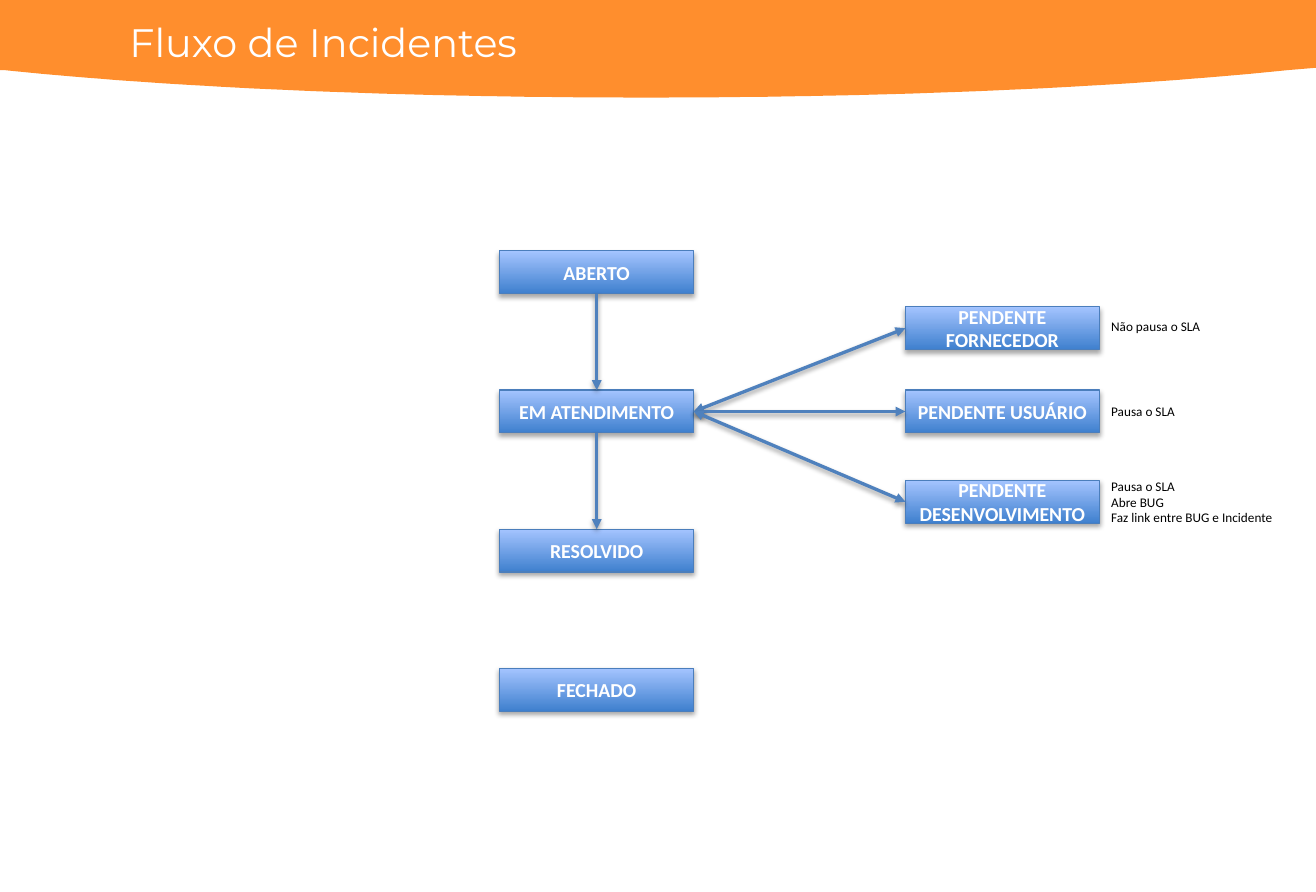
from pptx import Presentation
from pptx.dml.color import RGBColor
from pptx.enum.shapes import MSO_CONNECTOR, MSO_SHAPE
from pptx.enum.text import MSO_ANCHOR, PP_ALIGN
from pptx.oxml import parse_xml
from pptx.oxml.ns import nsdecls
from pptx.util import Inches, Pt

BOX_W, BOX_H = 1.63, 0.36
TITLE = {"name": "Montserrat", "size": Pt(24)}
LABEL = {"name": "Calibri", "size": Pt(12), "bold": True}
NOTE = {"name": "Calibri", "size": Pt(8)}
STATES = ["ABERTO", "EM ATENDIMENTO", "RESOLVIDO", "FECHADO"]
PENDING = [
    ("PENDENTE FORNECEDOR", 2.58, ["Não pausa o SLA"], (2.63, 0.96, 0.24)),
    ("PENDENTE USUÁRIO", 3.28, ["Pausa o SLA"], (3.34, 0.74, 0.24)),
    ("PENDENTE DESENVOLVIMENTO", 4.04,
     ["Pausa o SLA", "Abre BUG", "Faz link entre BUG e Incidente"], (3.97, 1.57, 0.5)),
]


def rgb(value):
    """Turn a hex string into a colour."""
    return RGBColor.from_string(value)


def write(tf, lines, fmt, color, align=PP_ALIGN.LEFT):
    """Write one paragraph per line with the given format."""
    for i, line in enumerate(lines):
        p = tf.paragraphs[0] if i == 0 else tf.add_paragraph()
        p.alignment = align
        r = p.add_run()
        r.text = line
        r.font.color.rgb = rgb(color)
        for key, value in fmt.items():
            setattr(r.font, key, value)


def add_shadow(sp, dist, alpha):
    """Give a shape or connector a soft black shadow below it."""
    sp._element.spPr.append(parse_xml(
        f'<a:effectLst {nsdecls("a")}><a:outerShdw blurRad="{Pt(3.1)}" dist="{Pt(dist)}" '
        f'dir="5400000" rotWithShape="0"><a:srgbClr val="000000">'
        f'<a:alpha val="{alpha * 1000}"/></a:srgbClr></a:outerShdw></a:effectLst>'))


def bezier(p0, p1, p2, p3, steps=40):
    """Return points along a cubic curve, without its start."""
    points = []
    for i in range(1, steps + 1):
        t = i / steps
        weights = ((1 - t) ** 3, 3 * t * (1 - t) ** 2, 3 * t * t * (1 - t), t ** 3)
        points.append(tuple(sum(w * q[axis] for w, q in zip(weights, (p0, p1, p2, p3)))
                            for axis in (0, 1)))
    return points


def add_banner(s):
    """Draw the orange header with its curved lower edge."""
    right, middle, left = (10.82, 0.59), (5.43, 0.82), (0.04, 0.59)
    points = [(11.06, 0), (11.06, 0.57), right]
    points += bezier(right, (9.36, 0.74), (7.48, 0.82), middle)
    points += bezier(middle, (3.38, 0.82), (1.5, 0.74), left)
    points.append((0, 0.59))
    builder = s.shapes.build_freeform(0, 0, scale=Inches(1) / 1000)
    builder.add_line_segments([(x * 1000, y * 1000) for x, y in points], close=True)
    sp = builder.convert_to_shape()
    sp.shadow.inherit = False
    sp.fill.solid()
    sp.fill.fore_color.rgb = rgb("FF8E2D")
    sp.line.fill.background()


def add_text(s, at, lines, fmt, color, wrap):
    """Add a text box."""
    tf = s.shapes.add_textbox(*map(Inches, at)).text_frame
    tf.word_wrap = wrap
    write(tf, lines, fmt, color)


def add_box(s, x, y, label):
    """Add a blue gradient status box."""
    sp = s.shapes.add_shape(MSO_SHAPE.RECTANGLE, *map(Inches, (x, y, BOX_W, BOX_H)))
    sp.fill.gradient()
    sp.fill.gradient_angle = 90
    for stop, color, position in zip(sp.fill.gradient_stops, ("3F80CE", "A4C4FF"), (0, 1)):
        stop.color.rgb = rgb(color)
        stop.position = position
    sp.line.color.rgb = rgb("4B7EBC")
    sp.line.width = Pt(0.75)
    add_shadow(sp, 1.8, 35)
    tf = sp.text_frame
    tf.word_wrap = True
    tf.vertical_anchor = MSO_ANCHOR.MIDDLE
    write(tf, [label], LABEL, "FFFFFF", PP_ALIGN.CENTER)
    return sp


def add_arrow(s, start, start_side, end, end_side, ends):
    """Join two boxes with an arrow."""
    cx = s.shapes.add_connector(MSO_CONNECTOR.STRAIGHT, 0, 0, 0, 0)
    cx.begin_connect(start, start_side)
    cx.end_connect(end, end_side)
    cx.line.color.rgb = rgb("4F81BD")
    cx.line.width = Pt(2)
    ln = cx.line._get_or_add_ln()
    for tag in ends:
        ln.append(parse_xml(f'<a:{tag} {nsdecls("a")} type="triangle"/>'))
    add_shadow(cx, 1.6, 38)


def main():
    """Build the incident flow slide."""
    prs = Presentation()
    prs.slide_width, prs.slide_height = Inches(11.06), Inches(7.5)
    s = prs.slides.add_slide(prs.slide_layouts[6])
    add_banner(s)
    add_text(s, (0.99, 0.1, 5.97, 0.5), ["Fluxo de Incidentes"], TITLE, "FFFFFF", True)
    states = [add_box(s, 4.2, 2.11 + 1.17 * i, label) for i, label in enumerate(STATES)]
    opened, in_service, resolved, _ = states
    for start, end in ((opened, in_service), (in_service, resolved)):
        add_arrow(s, start, 2, end, 0, ["tailEnd"])
    for label, y, notes, (top, width, height) in PENDING:
        box = add_box(s, 7.61, y, label)
        add_arrow(s, in_service, 3, box, 1, ["headEnd", "tailEnd"])
        add_text(s, (9.24, top, width, height), notes, NOTE, "000000", False)
    prs.save("out.pptx")


if __name__ == "__main__":
    main()
